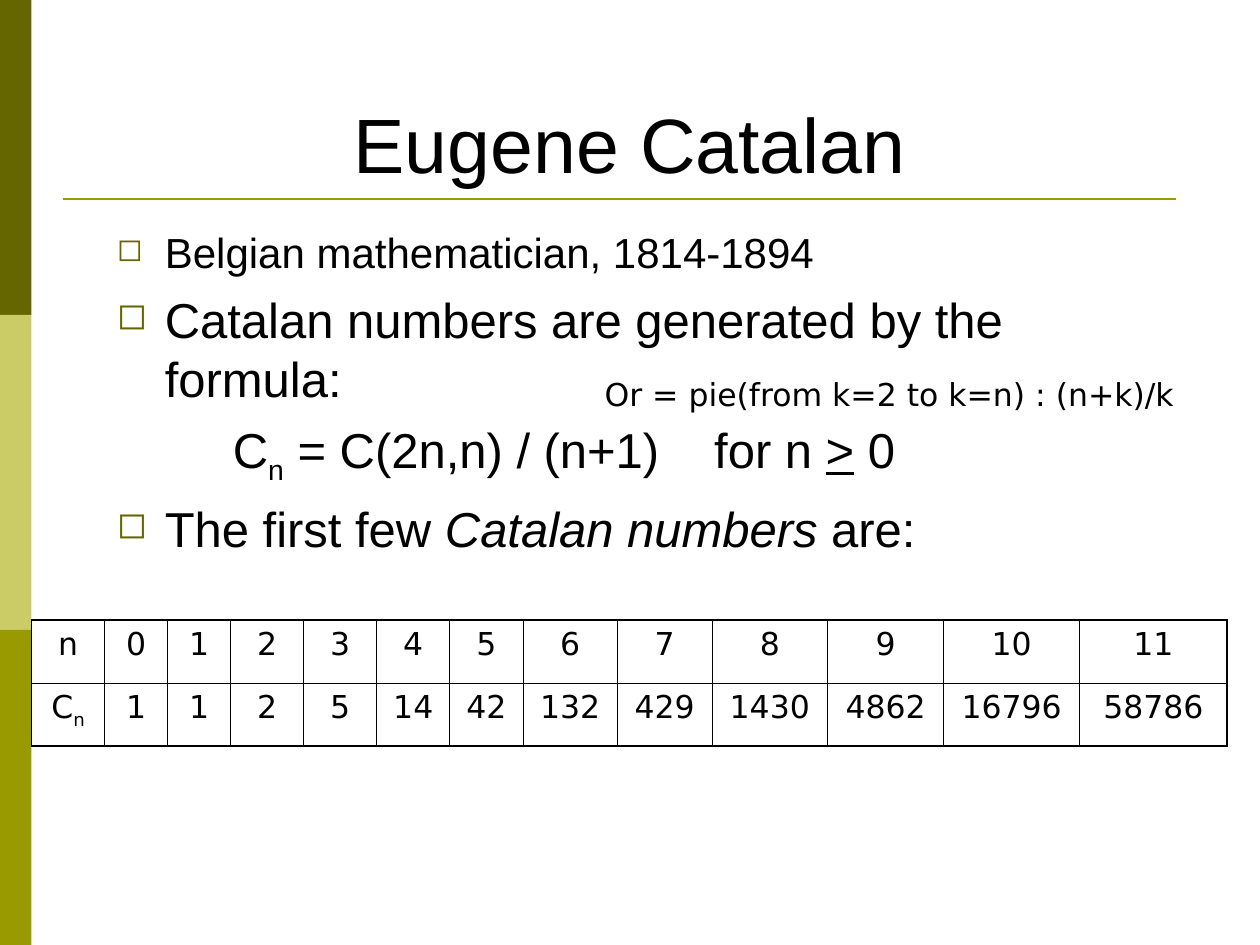
from dataclasses import dataclass

from lxml import etree
from pptx import Presentation, util as u
from pptx.dml.color import RGBColor
from pptx.enum import shapes, text
from pptx.oxml import ns


@dataclass(frozen=True)
class Theme:
    ink: str = "000000"
    bullet: str = "666600"
    rule: str = "999900"
    bars: tuple = ("666600", "CCCC66", "999900")
    sans: str = "Arial"
    plain: str = "DejaVu Sans"
    title: int = 44
    body: int = 28
    lead: int = 24
    small: int = 18


THEME = Theme()
WIDTH, HEIGHT = 10, 7.5

COLUMNS = [0.58, 0.5, 0.5, 0.58, 0.58, 0.58, 0.58,
           0.75, 0.75, 0.92, 0.92, 1.08, 1.17]
CATALAN = [1, 1, 2, 5, 14, 42, 132, 429, 1430, 4862, 16796, 58786]


def rgb(value):
    return RGBColor.from_string(value)


def add_xml(parent, tag, **attributes):
    return etree.SubElement(parent, ns.qn(tag), attributes)


def set_font(para, size, name):
    para.font.size = u.Pt(size)
    para.font.name = name
    para.font.color.rgb = rgb(THEME.ink)


def add_spans(para, *spans):
    """Each span is a text, or a pair of a text and its style."""
    for item in spans:
        words, style = (item, None) if isinstance(item, str) else item
        span = para.add_run()
        span.text = words
        if style == "sub":
            span.font._element.set("baseline", "-25000")
        elif style:
            setattr(span.font, style, True)


def add_bullet(para):
    props = para._p.get_or_add_pPr()
    props.set("marL", str(u.Inches(0.38)))
    props.set("indent", str(u.Inches(-0.38)))
    add_xml(add_xml(props, "a:buClr"), "a:srgbClr", val=THEME.bullet)
    add_xml(props, "a:buSzPct", val="75000")
    add_xml(props, "a:buChar", char="\u25fb")


def add_tabs(para, *stops):
    tabs = add_xml(para._p.get_or_add_pPr(), "a:tabLst")
    for stop in stops:
        add_xml(tabs, "a:tab", pos=str(u.Inches(stop)), algn="l")


def add_text_box(page, left, top, width, height):
    box = page.shapes.add_textbox(*map(u.Inches, (left, top, width, height)))
    box.text_frame.word_wrap = True
    return box.text_frame


def add_side_bars(page):
    height = HEIGHT / len(THEME.bars)
    for row, color in enumerate(THEME.bars):
        bar = page.shapes.add_shape(
            shapes.MSO_SHAPE.RECTANGLE, 0, u.Inches(row * height),
            u.Inches(WIDTH / 40), u.Inches(height))
        bar.shadow.inherit = False
        bar.fill.solid()
        bar.fill.fore_color.rgb = rgb(color)
        bar.line.fill.background()


def add_rule(page):
    rule = page.shapes.add_connector(
        shapes.MSO_CONNECTOR.STRAIGHT,
        *map(u.Inches, (0.5, 1.58, 9.33, 1.58)))
    rule.line.color.rgb = rgb(THEME.rule)
    rule.line.width = u.Pt(1.5)
    add_xml(rule._element.spPr, "a:effectLst")


def set_title(page, words):
    title = page.shapes.title
    title.left, title.top, title.width, title.height = map(
        u.Inches, (0.5, 0.3, 9, 1.25))
    frame = title.text_frame
    frame.text = words
    frame.vertical_anchor = text.MSO_ANCHOR.BOTTOM
    para = frame.paragraphs[0]
    para.alignment = text.PP_ALIGN.CENTER
    set_font(para, THEME.title, THEME.sans)


def add_body(page):
    frame = add_text_box(page, 0.83, 1.75, 8.25, 4.95)
    lines = [
        (THEME.lead, True, ["Belgian mathematician, 1814-1894"]),
        (THEME.body, True, ["Catalan numbers are generated by the formula:"]),
        (THEME.body, False, ["\tC", ("n", "sub"), " = C(2n,n) / (n+1)\tfor n ",
                             (">", "underline"), " 0"]),
        (THEME.body, True, ["The first few ", ("Catalan numbers ", "italic"),
                            "are:"]),
    ]
    for index, (size, bulleted, spans) in enumerate(lines):
        para = frame.add_paragraph() if index else frame.paragraphs[0]
        if bulleted:
            add_bullet(para)
        else:
            add_tabs(para, 0.92, 4.74)
        para.space_before = u.Pt(size / 4)
        set_font(para, size, THEME.sans)
        add_spans(para, *spans)


def set_borders(cell, outer):
    props = cell._tc.get_or_add_tcPr()
    for side in "LRTB":
        width = u.Pt(1.08 if side in outer else 0.45)
        line = add_xml(props, "a:ln" + side, w=str(width))
        add_xml(add_xml(line, "a:solidFill"), "a:srgbClr", val=THEME.ink)


def add_number_table(page):
    rows = [["n", *map(str, range(len(CATALAN)))],
            ["C", *map(str, CATALAN)]]
    frame = page.shapes.add_table(
        len(rows), len(COLUMNS),
        *map(u.Inches, (WIDTH / 40, 4.92, sum(COLUMNS), 1)))
    table = frame.table
    table.first_row = table.horz_banding = False
    for column, width in zip(table.columns, COLUMNS):
        column.width = u.Inches(width)
    for r, values in enumerate(rows):
        for c, value in enumerate(values):
            cell = table.cell(r, c)
            outer = "TB"[r]
            outer += "L" if c == 0 else "R" if c == len(COLUMNS) - 1 else ""
            set_borders(cell, outer)
            cell.fill.background()
            para = cell.text_frame.paragraphs[0]
            para.alignment = text.PP_ALIGN.CENTER
            para.space_before = u.Pt(4.5)
            set_font(para, THEME.small, THEME.plain)
            add_spans(para, value)
            if value == "C":
                add_spans(para, ("n", "sub"))


def add_side_note(page):
    para = add_text_box(page, 4.7, 2.93, 5.33, 0.4).paragraphs[0]
    set_font(para, THEME.small, THEME.plain)
    add_spans(para, "Or = pie(from k=2 to k=n) : (n+k)/k")


def main():
    deck = Presentation()
    deck.slide_width, deck.slide_height = u.Inches(WIDTH), u.Inches(HEIGHT)
    page = deck.slides.add_slide(deck.slide_layouts[5])

    # Frame of the slide
    add_side_bars(page)
    add_rule(page)

    # Content
    set_title(page, "Eugene Catalan")
    add_body(page)
    add_number_table(page)
    add_side_note(page)
    deck.save("out.pptx")


main()
